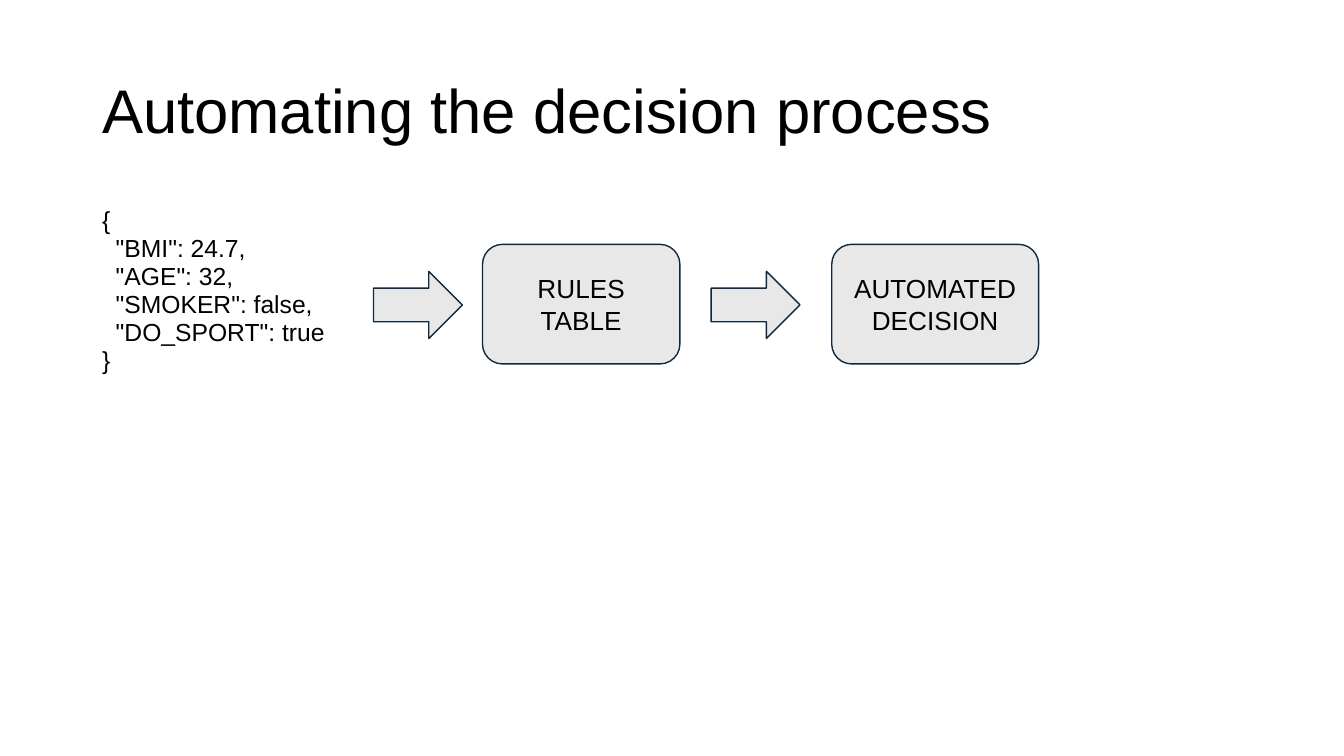
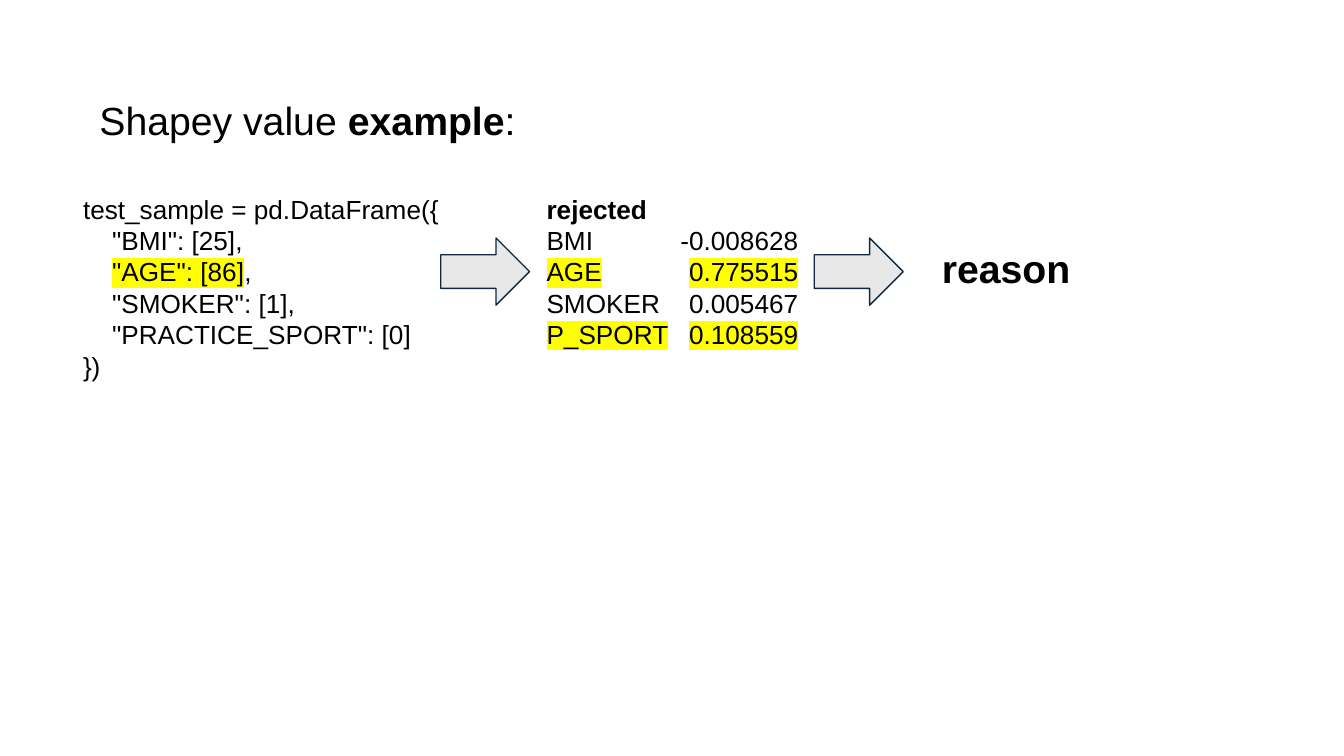
from lxml import etree
from pptx import Presentation
from pptx.dml.color import RGBColor
from pptx.enum.shapes import MSO_SHAPE
from pptx.enum.text import MSO_ANCHOR, PP_ALIGN
from pptx.oxml.ns import qn
from pptx.util import Cm, Pt

ARROW = MSO_SHAPE.RIGHT_ARROW
ROUNDED = MSO_SHAPE.ROUNDED_RECTANGLE
TOP, MIDDLE = MSO_ANCHOR.TOP, MSO_ANCHOR.MIDDLE
CENTER = PP_ALIGN.CENTER

BLACK = RGBColor(0x00, 0x00, 0x00)
GREY = RGBColor(0xE8, 0xE8, 0xE8)
NAVY = RGBColor(0x0E, 0x28, 0x41)
YELLOW = RGBColor(0xFF, 0xFF, 0x00)

FONT = "Arial"
HEADING_INSETS = (0.18, 0.1)
BOX_INSETS = (0.25, 0.25)
SCORE_TAB = 4.76

PLAIN, BOLD, MARKED = "plain", "bold", "marked"

APPLICANT = [
    "{",
    '  "BMI": 24.7,',
    '  "AGE": 32,',
    '  "SMOKER": false,',
    '  "DO_SPORT": true',
    "}",
]
TEST_SAMPLE = [
    "test_sample = pd.DataFrame({",
    '    "BMI": [25],',
    [("    ", PLAIN), ('"AGE": [86]', MARKED), (",", PLAIN)],
    '    "SMOKER": [1],',
    '    "PRACTICE_SPORT": [0]',
    "})",
]
SCORES = [
    ("BMI", "-0.008628", PLAIN),
    ("AGE", "0.775515", MARKED),
    ("SMOKER", "0.005467", PLAIN),
    ("P_SPORT", "0.108559", MARKED),
]


def highlight(run):
    """Mark a run with the yellow highlighter."""
    marker = etree.SubElement(run._r.get_or_add_rPr(), qn("a:highlight"))
    etree.SubElement(marker, qn("a:srgbClr")).set("val", str(YELLOW))


def add_right_tab(paragraph, position):
    """Give a paragraph one right-aligned tab stop."""
    tabs = etree.SubElement(paragraph._p.get_or_add_pPr(), qn("a:tabLst"))
    tab = etree.SubElement(tabs, qn("a:tab"))
    tab.set("pos", str(Cm(position)))
    tab.set("algn", "r")


def write_lines(frame, lines, size, insets=BOX_INSETS, anchor=TOP, align=None,
                spacing=None, tab=None, indent=None):
    """Fill a text frame with lines, each a string or a list of styled runs."""
    frame.word_wrap = True
    frame.vertical_anchor = anchor
    frame.margin_left = frame.margin_right = Cm(insets[0])
    frame.margin_top = frame.margin_bottom = Cm(insets[1])
    for number, line in enumerate(lines):
        paragraph = frame.add_paragraph() if number else frame.paragraphs[0]
        if tab:
            add_right_tab(paragraph, tab)
        if indent:
            paragraph._p.get_or_add_pPr().set("marL", str(Cm(indent)))
        paragraph.alignment = align
        paragraph.line_spacing = spacing
        paragraph.font.name = FONT
        paragraph.font.size = Pt(size)
        paragraph.font.color.rgb = BLACK
        for text, style in [(line, PLAIN)] if isinstance(line, str) else line:
            run = paragraph.add_run()
            run.text = text
            if style == BOLD:
                run.font.bold = True
            elif style == MARKED:
                highlight(run)


def add_text(slide, left, top, width, height, lines, size, **layout):
    """Add a text box with the given lines."""
    box = slide.shapes.add_textbox(Cm(left), Cm(top), Cm(width), Cm(height))
    write_lines(box.text_frame, lines, size, **layout)


def add_block(slide, kind, left, top, width, height):
    """Add a grey preset shape with a thin navy outline."""
    block = slide.shapes.add_shape(kind, Cm(left), Cm(top), Cm(width), Cm(height))
    block.shadow.inherit = False
    block.fill.solid()
    block.fill.fore_color.rgb = GREY
    block.line.color.rgb = NAVY
    block.line.width = Pt(0.75)
    return block


def add_arrows(slide, lefts, top):
    """Add the flow arrows of a slide along one row."""
    for left in lefts:
        add_block(slide, ARROW, left, top, 1.68, 1.27)


def add_step(slide, left, width, lines):
    """Add a rounded process step with centred text."""
    step = add_block(slide, ROUNDED, left, 4.62, width, 2.26)
    write_lines(step.text_frame, lines, 14, anchor=MIDDLE, align=CENTER)


def build_decision_slide(slide):
    """Show an applicant passing through the rules table to a decision."""
    add_text(slide, 1.75, 0.76, 21.9, 2.77, ["Automating the decision process"], 33,
             insets=HEADING_INSETS, anchor=MIDDLE, spacing=0.9)
    add_text(slide, 1.75, 3.81, 21.9, 9.07, APPLICANT, 13.2,
             insets=HEADING_INSETS, spacing=0.95)
    add_arrows(slide, (7.06, 13.44), 5.13)
    add_step(slide, 9.12, 3.73, ["RULES TABLE"])
    add_step(slide, 15.72, 3.91, ["AUTOMATED", "DECISION"])


def build_example_slide(slide):
    """Show a test sample, its value for each feature and the reason."""
    heading = [("Shapey value ", PLAIN), ("example", BOLD), (":", PLAIN)]
    add_text(slide, 1.7, 1.83, 21.9, 9.07, [heading], 21,
             insets=HEADING_INSETS, spacing=0.9)
    add_text(slide, 1.32, 3.4, 8.33, 4.11, TEST_SAMPLE, 14)
    scores = [[(f"{feature}\t{value}", style)] for feature, value, style in SCORES]
    add_text(slide, 10.08, 3.4, 5.31, 4.11, [[("rejected", BOLD)]] + scores, 14,
             tab=SCORE_TAB)
    add_arrows(slide, (8.33, 15.39), 4.5)
    add_text(slide, 17.07, 4.47, 8.33, 1.32, [[("reason", BOLD)]], 21,
             spacing=0.9, indent=0.48)


def main():
    """Build the deck and save it."""
    deck = Presentation()
    deck.slide_width, deck.slide_height = Cm(25.4), Cm(14.29)
    blank = deck.slide_layouts[6]
    for build in (build_decision_slide, build_example_slide):
        build(deck.slides.add_slide(blank))
    deck.save("out.pptx")


if __name__ == "__main__":
    main()
